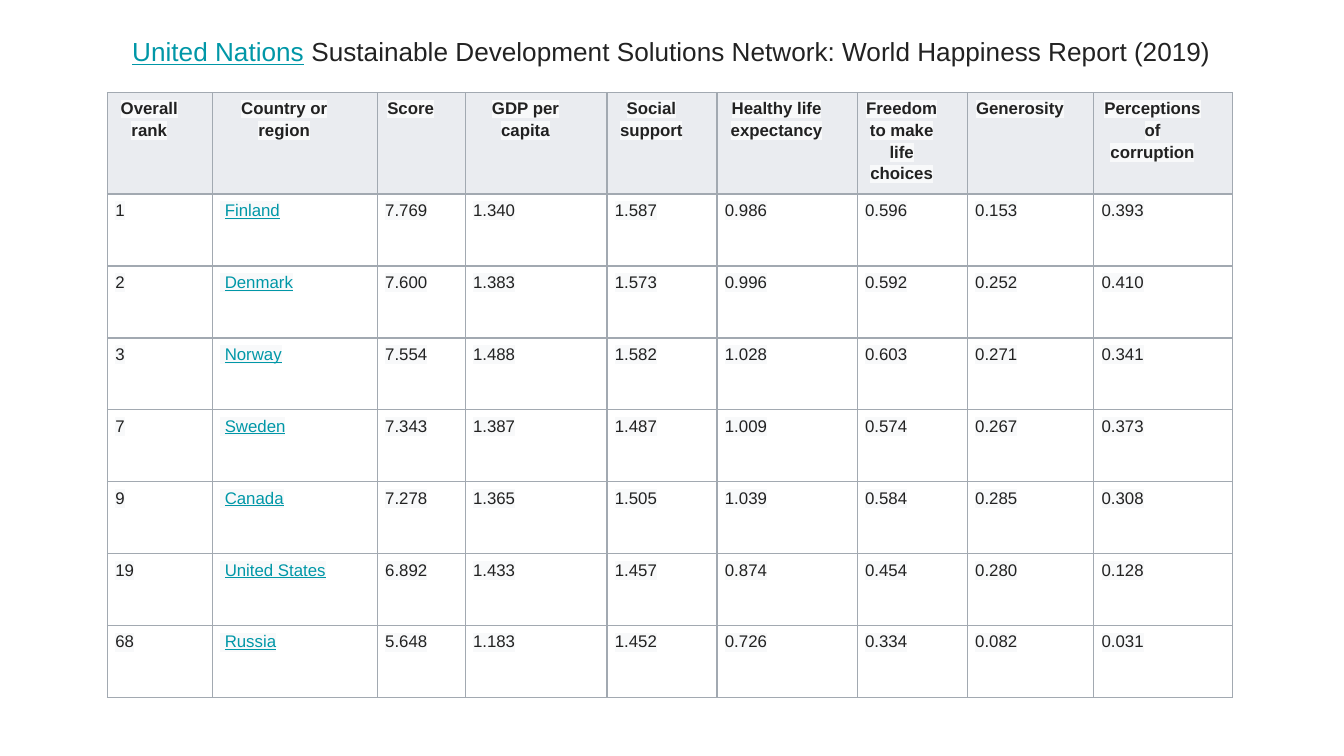
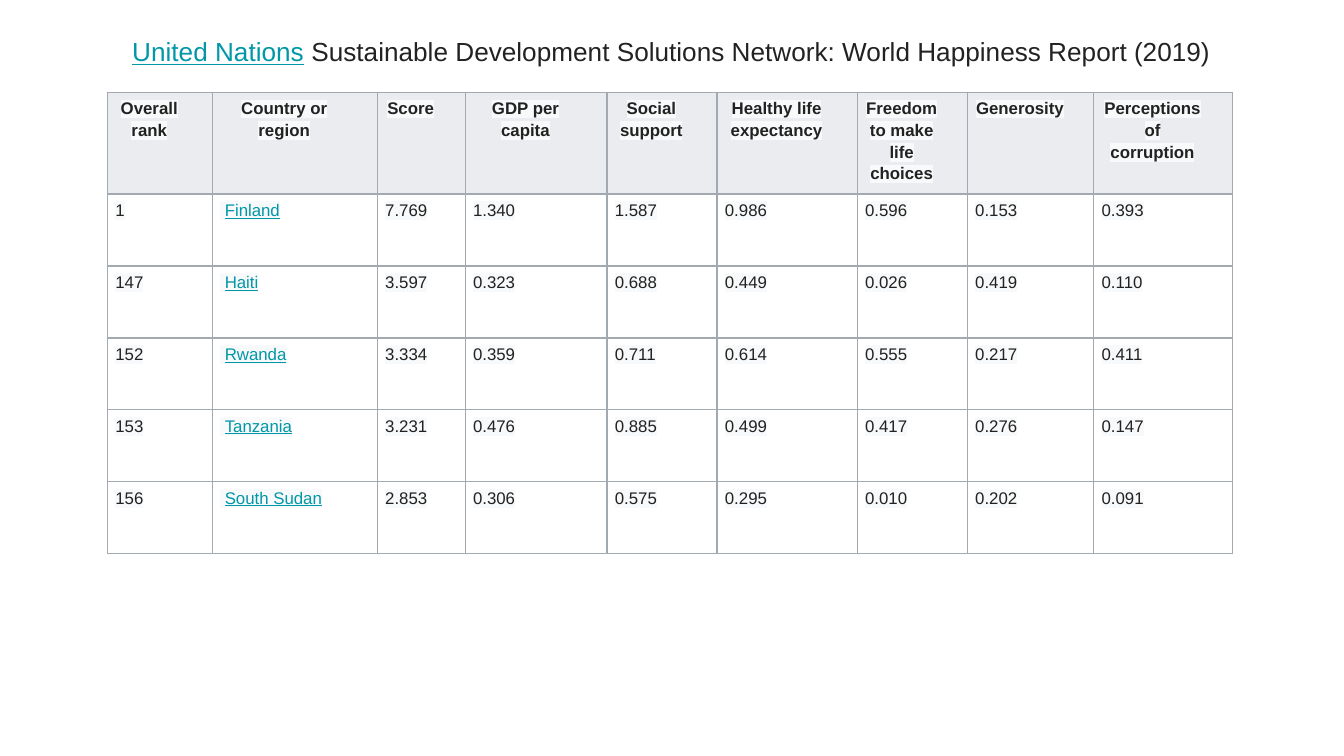
from pptx import Presentation
from pptx.dml.color import RGBColor
from pptx.enum.text import MSO_ANCHOR as ANCHOR, PP_ALIGN as ALIGN
from pptx.oxml import parse_xml
from pptx.oxml.ns import nsdecls
from pptx.util import Cm, Pt

COLORS = {"text": "222222", "link": "0097A7", "title_mark": "FFFFFF",
          "cell_mark": "F8F9FA", "header": "EAECF0", "border": "A2A9B1"}
FONT = "Arial"

TITLE_BOX = (Cm(0.86), Cm(0.38), Cm(23.67), Cm(1.17))
TABLE_LEFT, TABLE_TOP = Cm(2.03), Cm(1.75)
COL_WIDTHS = [1.98, 3.12, 1.66, 2.68, 2.08, 2.65, 2.08, 2.39, 2.62]
HEADER_HEIGHT, ROW_HEIGHT = Cm(1.07), Cm(1.36)
COUNTRY_COL = 1

TITLE_LINK = "United Nations"
TITLE_REST = " Sustainable Development Solutions Network: World Happiness Report (2019)"
HEADERS = ["Overall rank", "Country or region", "Score", "GDP per capita",
           "Social support", "Healthy life expectancy",
           "Freedom to make life choices", "Generosity",
           "Perceptions of corruption"]
FINLAND = ("1", "Finland", "7.769", "1.340", "1.587", "0.986", "0.596", "0.153", "0.393")
HAPPIEST = [
    FINLAND,
    ("2", "Denmark", "7.600", "1.383", "1.573", "0.996", "0.592", "0.252", "0.410"),
    ("3", "Norway", "7.554", "1.488", "1.582", "1.028", "0.603", "0.271", "0.341"),
    ("7", "Sweden", "7.343", "1.387", "1.487", "1.009", "0.574", "0.267", "0.373"),
    ("9", "Canada", "7.278", "1.365", "1.505", "1.039", "0.584", "0.285", "0.308"),
    ("19", "United States", "6.892", "1.433", "1.457", "0.874", "0.454", "0.280", "0.128"),
    ("68", "Russia", "5.648", "1.183", "1.452", "0.726", "0.334", "0.082", "0.031"),
]
UNHAPPIEST = [
    FINLAND,
    ("147", "Haiti", "3.597", "0.323", "0.688", "0.449", "0.026", "0.419", "0.110"),
    ("152", "Rwanda", "3.334", "0.359", "0.711", "0.614", "0.555", "0.217", "0.411"),
    ("153", "Tanzania", "3.231", "0.476", "0.885", "0.499", "0.417", "0.276", "0.147"),
    ("156", "South Sudan", "2.853", "0.306", "0.575", "0.295", "0.010", "0.202", "0.091"),
]


def rgb(name):
    return RGBColor.from_string(COLORS[name])


def add_run(p, text, size, mark, link=False, bold=False):
    """Append a highlighted run; links are underlined in the link colour."""
    r = p.add_run()
    r.text = text
    font = r.font
    font.size, font.bold, font.underline = Pt(size), bold, link
    font.color.rgb = rgb("link" if link else "text")
    highlight = parse_xml(f'<a:highlight {nsdecls("a")}>'
                          f'<a:srgbClr val="{COLORS[mark]}"/></a:highlight>')
    r._r.get_or_add_rPr().append(highlight)
    font.name = FONT


def add_title(s, box):
    tf = s.shapes.add_textbox(*box).text_frame
    tf.word_wrap = True
    tf.vertical_anchor = ANCHOR.MIDDLE
    tf.margin_left = tf.margin_right = tf.margin_top = tf.margin_bottom = Cm(0.25)
    p = tf.paragraphs[0]
    p.alignment = ALIGN.CENTER
    add_run(p, TITLE_LINK, 14, "title_mark", link=True)
    add_run(p, TITLE_REST, 14, "title_mark")


def add_borders(cell):
    tc_pr = cell._tc.get_or_add_tcPr()
    for i, side in enumerate("LRTB"):
        tc_pr.insert(i, parse_xml(
            f'<a:ln{side} {nsdecls("a")} w="{Pt(0.75)}"><a:solidFill>'
            f'<a:srgbClr val="{COLORS["border"]}"/></a:solidFill></a:ln{side}>'))


def fill_cell(cell, text, header, country):
    cell.margin_left = Cm(0.15)
    cell.margin_right = Cm(0.55 if header else 0.15)
    cell.margin_top = cell.margin_bottom = Cm(0.08)
    p = cell.text_frame.paragraphs[0]
    p.line_spacing = 1.15
    p.space_before = p.space_after = Pt(11)
    if header:
        p.alignment = ALIGN.CENTER
        cell.fill.solid()
        cell.fill.fore_color.rgb = rgb("header")
    else:
        cell.fill.background()
    link = country and not header
    if link:
        add_run(p, " ", 9, "cell_mark")
    add_run(p, text, 9, "cell_mark", link=link, bold=header)
    add_borders(cell)


def add_ranking(s, left, top, countries):
    rows = [HEADERS, *countries]
    height = HEADER_HEIGHT + ROW_HEIGHT * len(countries)
    table = s.shapes.add_table(len(rows), len(HEADERS), left, top,
                               Cm(sum(COL_WIDTHS)), height).table
    table.first_row = table.horz_banding = False
    for col, width in zip(table.columns, COL_WIDTHS):
        col.width = Cm(width)
    for i, values in enumerate(rows):
        table.rows[i].height = ROW_HEIGHT if i else HEADER_HEIGHT
        for j, text in enumerate(values):
            fill_cell(table.cell(i, j), text, header=i == 0, country=j == COUNTRY_COL)


def add_ranking_slide(prs, countries):
    s = prs.slides.add_slide(prs.slide_layouts[6])
    add_title(s, TITLE_BOX)
    add_ranking(s, TABLE_LEFT, TABLE_TOP, countries)


def main():
    prs = Presentation()
    prs.slide_width, prs.slide_height = Cm(25.4), Cm(14.29)
    for countries in (HAPPIEST, UNHAPPIEST):
        add_ranking_slide(prs, countries)
    prs.save("out.pptx")


if __name__ == "__main__":
    main()
